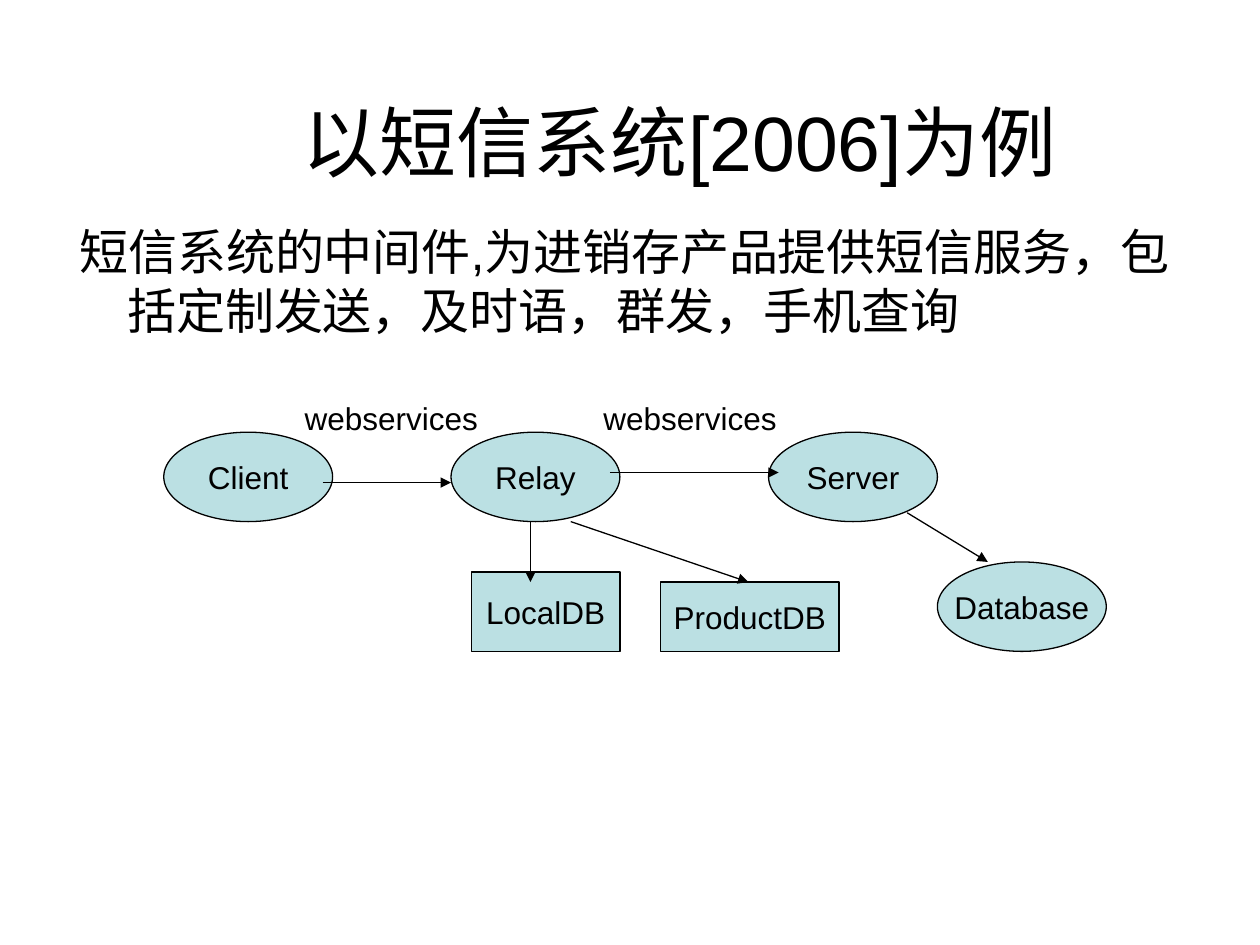
"""Build a slide showing the architecture of an SMS relay system."""
from dataclasses import dataclass

from lxml import etree
from pptx import Presentation
from pptx.dml.color import RGBColor
from pptx.enum.shapes import MSO_CONNECTOR, MSO_SHAPE
from pptx.enum.text import MSO_ANCHOR, MSO_AUTO_SIZE, PP_ALIGN
from pptx.oxml.ns import qn
from pptx.util import Inches, Pt

OVAL, RECT = MSO_SHAPE.OVAL, MSO_SHAPE.RECTANGLE
STRAIGHT = MSO_CONNECTOR.STRAIGHT
TOP, MIDDLE = MSO_ANCHOR.TOP, MSO_ANCHOR.MIDDLE
LEFT, CENTER = PP_ALIGN.LEFT, PP_ALIGN.CENTER
FIXED, GROW = MSO_AUTO_SIZE.NONE, MSO_AUTO_SIZE.SHAPE_TO_FIT_TEXT


@dataclass(frozen=True)
class Theme:
    font: str = "Arial"
    ink: RGBColor = RGBColor(0x00, 0x00, 0x00)
    node: RGBColor = RGBColor(0xBB, 0xE0, 0xE3)
    title: int = 44
    body: int = 28
    label: int = 18
    line: float = 0.75


T = Theme()


def put_text(sp, text, size=T.label, align=LEFT, anchor=TOP, wrap=False,
             fit=FIXED, inset=(0.1, 0.05), before=0, hanging=0):
    tf = sp.text_frame
    tf.word_wrap = wrap
    tf.auto_size = fit
    tf.vertical_anchor = anchor
    tf.margin_left = tf.margin_right = Inches(inset[0])
    tf.margin_top = tf.margin_bottom = Inches(inset[1])
    p = tf.paragraphs[0]
    p.alignment = align
    p.space_before = Pt(before)
    if hanging:
        pPr = p._p.get_or_add_pPr()
        pPr.set("marL", str(Inches(hanging)))
        pPr.set("indent", str(-Inches(hanging)))
    r = p.add_run()
    r.text = text
    r.font.name = T.font
    r.font.size = Pt(size)
    r.font.color.rgb = T.ink


prs = Presentation()
prs.slide_width, prs.slide_height = Inches(10), Inches(7.5)
s = prs.slides.add_slide(prs.slide_layouts[6])

title = s.shapes.add_textbox(Inches(1.83), Inches(0.73), Inches(7.13), Inches(0.78))
put_text(title, "以短信系统[2006]为例", size=T.title, align=CENTER, wrap=True,
         fit=GROW, inset=(0.06, 0.02))

body = s.shapes.add_textbox(Inches(0.51), Inches(1.7), Inches(8.98), Inches(1.26))
put_text(body, "短信系统的中间件,为进销存产品提供短信服务，包括定制发送，及时语，群发，手机查询",
         size=T.body, wrap=True, inset=(0.12, 0.06), before=7, hanging=0.38)

nodes = [
    ("Client", OVAL, 1.3, 3.43, 1.34, 0.71),
    ("Relay", OVAL, 3.58, 3.43, 1.34, 0.71),
    ("Server", OVAL, 6.1, 3.43, 1.34, 0.71),
    ("Database", OVAL, 7.44, 4.46, 1.34, 0.71),
    ("LocalDB", RECT, 3.74, 4.54, 1.18, 0.63),
    ("ProductDB", RECT, 5.24, 4.62, 1.42, 0.55),
]
for name, kind, *box in nodes:
    sp = s.shapes.add_shape(kind, *map(Inches, box))
    sp.shadow.inherit = False
    sp.fill.solid()
    sp.fill.fore_color.rgb = T.node
    sp.line.color.rgb = T.ink
    sp.line.width = Pt(T.line)
    put_text(sp, name, align=CENTER, anchor=MIDDLE)

for x in (2.32, 4.69):
    label = s.shapes.add_textbox(Inches(x), Inches(3.12), Inches(1.59), Inches(0.4))
    put_text(label, "webservices", fit=GROW)

arrows = [
    (4.84, 3.75, 6.18, 3.75),
    (2.56, 3.83, 3.58, 3.83),
    (4.21, 4.14, 4.21, 4.62),
    (4.53, 4.14, 5.94, 4.62),
    (7.2, 4.07, 7.84, 4.46),
]
for ends in arrows:
    arrow = s.shapes.add_connector(STRAIGHT, *map(Inches, ends))
    arrow.line.color.rgb = T.ink
    arrow.line.width = Pt(T.line)
    etree.SubElement(arrow.line._get_or_add_ln(), qn("a:tailEnd"), type="triangle")
    etree.SubElement(arrow._element.spPr, qn("a:effectLst"))

prs.save("out.pptx")
